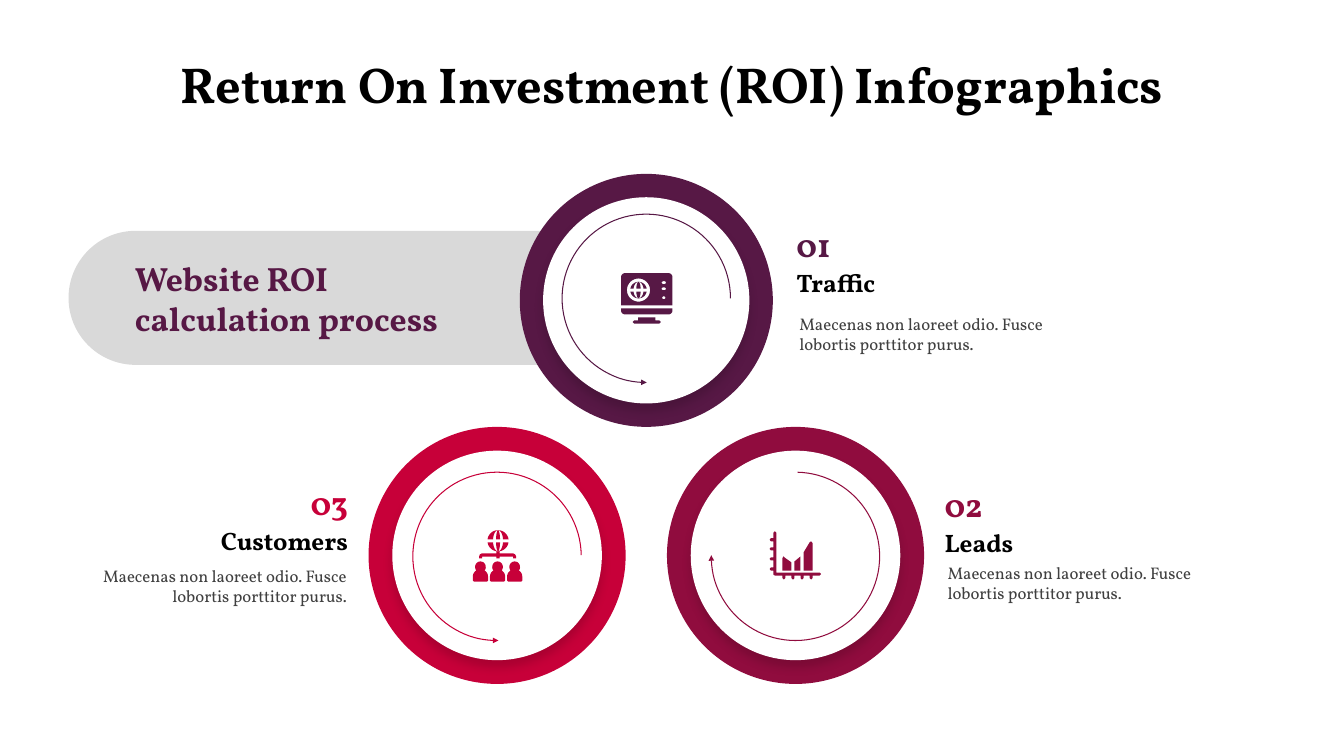
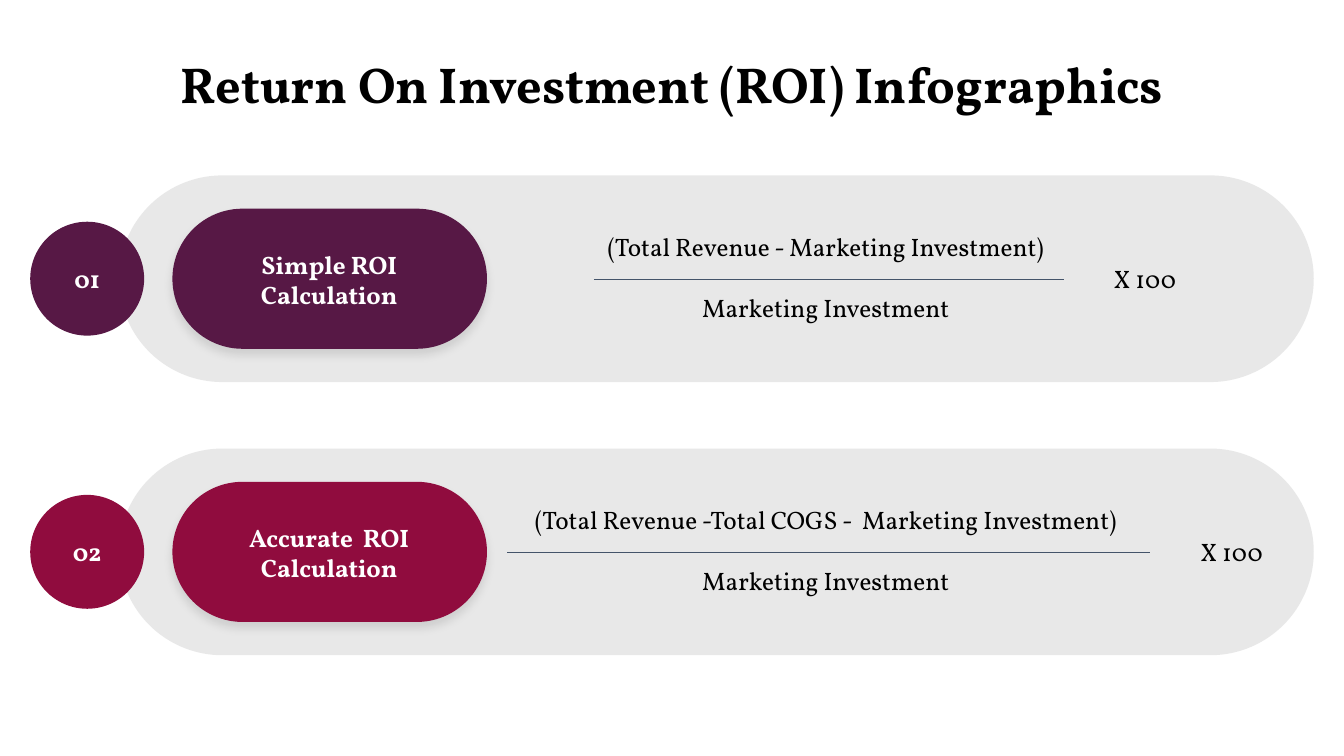
from math import asin, cos, degrees, radians, sin

from pptx import Presentation
from pptx.dml.color import RGBColor
from pptx.enum.shapes import MSO_CONNECTOR, MSO_SHAPE
from pptx.enum.text import MSO_ANCHOR, MSO_AUTO_SIZE, PP_ALIGN
from pptx.oxml import parse_xml
from pptx.oxml.ns import nsdecls, qn
from pptx.util import Inches, Pt

OVAL, ROUNDED, ARC = MSO_SHAPE.OVAL, MSO_SHAPE.ROUNDED_RECTANGLE, MSO_SHAPE.ARC
STRAIGHT = MSO_CONNECTOR.STRAIGHT
LEFT, CENTER, RIGHT = PP_ALIGN.LEFT, PP_ALIGN.CENTER, PP_ALIGN.RIGHT
TOP, MIDDLE = MSO_ANCHOR.TOP, MSO_ANCHOR.MIDDLE
GROW = MSO_AUTO_SIZE.SHAPE_TO_FIT_TEXT

FONT = "Vollkorn"
PLUM, WINE, RED = "571845", "900C3E", "C70039"
BLACK, WHITE, BAND, BODY, RULE = "000000", "FFFFFF", "D9D9D9", "404040", "44546A"
SLIDE_WIDTH, SLIDE_HEIGHT = 13.33, 7.5
TITLE = "Return On Investment (ROI) Infographics"
PLACEHOLDER_TEXT = "Maecenas non laoreet odio. Fusce lobortis porttitor purus."
ICON_UNIT = 0.01


def rgb(color):
    """Turn a hex string into a colour."""
    return RGBColor.from_string(color)


def write(shape, text, size, color, bold=False, align=LEFT, anchor=MIDDLE, margins=(0.1, 0.1)):
    """Fill a shape with one formatted, wrapped run."""
    frame = shape.text_frame
    frame.word_wrap = True
    frame.vertical_anchor = anchor
    frame.margin_left = frame.margin_right = Inches(margins[0])
    frame.margin_top = frame.margin_bottom = Inches(margins[1])
    paragraph = frame.paragraphs[0]
    paragraph.alignment = align
    run = paragraph.add_run()
    run.text = text
    font = run.font
    font.name, font.size, font.bold = FONT, Pt(size), bold
    font.color.rgb = rgb(color)
    return frame


def add_text(slide, box, text, size, color, **style):
    """Place a text box."""
    shape = slide.shapes.add_textbox(*map(Inches, box))
    return write(shape, text, size, color, **style)


def paint(shape, color):
    """Give a shape a flat fill without line or shadow."""
    shape.shadow.inherit = False
    shape.fill.solid()
    shape.fill.fore_color.rgb = rgb(color)
    shape.line.fill.background()
    return shape


def add_shape(slide, preset, box, color, adjustments=()):
    """Place a flat preset shape."""
    shape = paint(slide.shapes.add_shape(preset, *map(Inches, box)), color)
    for index, value in enumerate(adjustments):
        shape.adjustments[index] = value
    return shape


def add_shadow(shape, opacity, distance):
    """Cast a soft black shadow straight down."""
    shape._element.spPr.find(qn("a:effectLst")).append(parse_xml(
        f'<a:outerShdw {nsdecls("a")} blurRad="{Pt(6.8)}" dist="{Pt(distance)}" dir="5400000" '
        f'algn="t" rotWithShape="0"><a:srgbClr val="{BLACK}">'
        f'<a:alpha val="{opacity * 1000}"/></a:srgbClr></a:outerShdw>'))


def set_opacity(shape, percent):
    """Make a solid fill see-through."""
    color = shape._element.spPr.find(qn("a:solidFill")).find(qn("a:srgbClr"))
    color.append(parse_xml(f'<a:alpha {nsdecls("a")} val="{percent * 1000}"/>'))


def new_slide(presentation):
    """Add a slide with the shared title."""
    slide = presentation.slides.add_slide(presentation.slide_layouts[5])
    title = slide.shapes.title
    title.left, title.top = Inches(0), Inches(0.48)
    title.width, title.height = Inches(SLIDE_WIDTH), Inches(0.71)
    frame = write(title, TITLE, 36, BLACK, bold=True, align=CENTER, anchor=TOP, margins=(0.1, 0.05))
    frame.auto_size = GROW
    return slide


def curve(center, radii, start, end, steps=16):
    """List points along an elliptical arc, clockwise from the right."""
    angles = [radians(start + (end - start) * step / steps) for step in range(steps + 1)]
    return [(center[0] + radii[0] * cos(angle), center[1] + radii[1] * sin(angle)) for angle in angles]


def globe_segments(center, radius, inner, lens, gap, flip):
    """List the three segments of a globe's upper or lower half."""
    tilt = degrees(asin(gap / radius))
    x, y = center

    def half(width, start, end):
        return [(px, y + flip * (py - y)) for px, py in curve(center, (width, radius), start, end)]
    return [
        [half(lens, 180 + tilt, 360 - tilt)],
        [half(radius, 270, 360 - tilt) + half(inner, 360 - tilt, 270)],
        [half(radius, 180 + tilt, 270) + half(inner, 270, 180 + tilt)],
    ]


def monitor_icon():
    """List the outlines of a screen showing a globe."""
    center = (17.3, 16.8)
    screen = curve((4, 4), (4, 4), 180, 270) + curve((47, 4), (4, 4), 270, 360) + [(51, 32), (0, 32)]
    holes = [curve(center, (11.5, 11.5), 360, 0, 32)]
    holes += [curve((42.4, y), (width, 1.5), 360, 0) for y, width in ((9.4, 2.2), (15.5, 2.2), (24.4, 1.6))]
    base = [(0, 35), (51, 35)] + curve((47, 37), (4, 4), 0, 90) + curve((4, 37), (4, 4), 90, 180)
    foot = [(17, 44), (17, 47), (13, 47), (11.5, 48.5), (13, 50),
            (38, 50), (39.5, 48.5), (38, 47), (34, 47), (34, 44)]
    return [[foot], [base], [screen, *holes],
            *globe_segments(center, 8.2, 5, 2.2, 1.4, 1),
            *globe_segments(center, 8.2, 5, 2.2, 1.4, -1)]


def chart_icon():
    """List the outlines of a chart with ticked axes."""
    axes = [(5.5, 0), (4, 1.5)]
    for y in (7, 16, 26, 36):
        axes += [(4, y), (1.5, y), (0.3, y + 1.5), (1.5, y + 3), (4, y + 3)]
    axes += [(4, 43), (5.5, 44)]
    for x in (13, 22, 31, 40):
        axes += [(x, 44), (x, 46.5), (x + 1.5, 48), (x + 3, 46.5), (x + 3, 44)]
    axes += [(50, 44), (51.3, 42.5), (50, 41), (7, 41), (7, 1.5)]
    return [
        [[(31, 25), (25, 30), (25, 39), (31, 39)]],
        [[(14, 25), (13, 27), (13, 39), (22, 39), (22, 31), (15, 26)]],
        [[(41.5, 10), (40, 11), (34, 21), (34, 39), (43, 39), (43, 12)]],
        [axes],
    ]


def people_icon():
    """List the outlines of three people linked to a globe."""
    center, radius = (25, 10.5), 10.5
    top_segments = globe_segments(center, radius, 5, 2, 1.5, 1)
    bottom_lens = globe_segments(center, radius, 5, 2, 1.5, -1)[0]
    tree = (curve(center, (radius, radius), 172, 99)
            + [(23.4, 23), (9, 23), (7, 24), (6.3, 26), (6.3, 28), (9.3, 28), (9.3, 26.3), (23.4, 26.3),
               (23.4, 28), (26.6, 28), (26.6, 26.3), (40, 26.3), (40, 28), (43, 28), (43, 26),
               (42, 24), (40, 23), (26.6, 23)]
            + curve(center, (radius, radius), 81, 8)
            + curve(center, (5, radius), 8, 172))
    people = []
    for x in (0, 17, 34):
        person = (curve((x + 7.5, 36.5), (5.3, 5.5), 146, 394)
                  + curve((x + 8, 46), (7, 7), 300, 360)
                  + [(x + 15, 50), (x + 14, 51), (x + 1, 51), (x, 50)]
                  + curve((x + 7, 46), (7, 7), 180, 240))
        people.append([person])
    return people + [[tree], bottom_lens, *top_segments]


def add_icon(slide, left, top, outlines, color):
    """Draw outlines as one group from its top left corner."""
    shapes = slide.shapes.add_group_shape().shapes
    for contours in outlines:
        placed = [[(Inches(left + x * ICON_UNIT), Inches(top + y * ICON_UNIT)) for x, y in contour]
                  for contour in contours]
        builder = shapes.build_freeform(*placed[0][0])
        for index, points in enumerate(placed):
            if index:
                builder.move_to(*points[0])
            builder.add_line_segments(points[1:], close=True)
        paint(builder.convert_to_shape(), color)


def add_ring(slide, center, size, color, arc_center, angles, arrow_end):
    """Draw a ring around a white disc with an arrowed arc."""
    def square(middle, side):
        return middle[0] - side / 2, middle[1] - side / 2, side, side
    add_shape(slide, OVAL, square(center, size), color)
    disc = add_shape(slide, OVAL, square(center, size * 0.815), WHITE)
    add_shadow(disc, 15, 5.2)
    arc = slide.shapes.add_shape(ARC, *map(Inches, square(arc_center, 1.67)))
    arc.shadow.inherit = False
    arc.fill.background()
    arc.line.color.rgb = rgb(color)
    arc.line.width = Pt(0.75)
    for index, angle in enumerate(angles):
        arc.adjustments[index] = angle * 0.6
    line = arc._element.spPr.find(qn("a:ln"))
    line.append(parse_xml(f'<a:{arrow_end} {nsdecls("a")} type="triangle" w="sm" len="sm"/>'))


def add_step_text(slide, left, top, number, name, color, body_top, align):
    """Stack a step's number, name and description."""
    width, row = 2.87, 0.38
    add_text(slide, (left, top, width, row), number, 24, color, bold=True, align=align)
    add_text(slide, (left, top + row, width, row), name, 18, BLACK, bold=True, align=align)
    body_left = left + (0.03 if align == LEFT else -0.01)
    frame = add_text(slide, (body_left, top + body_top, width, 0.5), PLACEHOLDER_TEXT, 12, BODY,
                     align=align, anchor=TOP, margins=(0.1, 0.05))
    frame.auto_size = GROW


def build_process_slide(presentation):
    """Show the three steps of the calculation process."""
    slide = new_slide(presentation)
    add_shape(slide, ROUNDED, (0.68, 2.29, 5.73, 1.33), BAND, (0.5,))
    add_text(slide, (1.24, 2.46, 3.48, 0.99), "Website ROI calculation process", 24, PLUM, bold=True)
    rings = [
        ((6.41, 2.98), 2.51, PLUM, (6.41, 2.96), (89.7, 0), "headEnd"),
        ((4.93, 5.51), 2.55, RED, (4.93, 5.52), (89, 359.2), "headEnd"),
        ((7.89, 5.51), 2.55, WINE, (7.89, 5.52), (271.4, 180.8), "tailEnd"),
    ]
    for ring in rings:
        add_ring(slide, *ring)
    add_icon(slide, 6.16, 2.71, monitor_icon(), PLUM)
    add_icon(slide, 4.69, 5.26, people_icon(), RED)
    add_icon(slide, 7.63, 5.27, chart_icon(), WINE)
    add_step_text(slide, 7.8, 2.23, "01", "Traffic", PLUM, 0.83, LEFT)
    add_step_text(slide, 9.27, 4.81, "02", "Leads", WINE, 0.72, LEFT)
    add_step_text(slide, 0.68, 4.79, "03", "Customers", RED, 0.77, RIGHT)


def add_formula(slide, top, color, number, name, numerator, rule_width):
    """Draw one numbered band holding a named fraction."""
    band = add_shape(slide, ROUNDED, (1.18, top, 11.85, 2.05), BAND, (0.5,))
    set_opacity(band, 60)
    pill = add_shape(slide, ROUNDED, (1.71, top + 0.33, 3.12, 1.39), color, (0.5,))
    add_shadow(pill, 11, 4.5)
    add_text(slide, (1.98, top + 0.6, 2.57, 0.86), name, 18, WHITE, bold=True, align=CENTER)
    badge = add_shape(slide, OVAL, (0.3, top + 0.46, 1.13, 1.13), color)
    write(badge, number, 18, WHITE, bold=True, align=CENTER)

    middle, rule_top = 8.22, top + 1.03
    start, end = middle - rule_width / 2, middle + rule_width / 2
    rule = slide.shapes.add_connector(
        STRAIGHT, Inches(start), Inches(rule_top), Inches(end), Inches(rule_top))
    rule.line.color.rgb = rgb(RULE)
    rule.line.width = Pt(0.75)
    rule._element.spPr.append(parse_xml(f'<a:effectLst {nsdecls("a")}/>'))

    text_left, text_width = start - 0.33, rule_width + 0.6
    for left, offset, width, text in (
            (text_left, 0.46, text_width, numerator),
            (text_left, 1.07, text_width, "Marketing Investment"),
            (end + 0.24, 0.78, 1.13, "X 100")):
        add_text(slide, (left, top + offset, width, 0.48), text, 18, BLACK, align=CENTER)


def build_formula_slide(presentation):
    """Show the simple and the accurate formula."""
    slide = new_slide(presentation)
    add_formula(slide, 1.74, PLUM, "01", "Simple ROI Calculation",
                "(Total Revenue - Marketing Investment)", 4.66)
    add_formula(slide, 4.45, WINE, "02", "Accurate  ROI Calculation",
                "(Total Revenue -Total COGS -  Marketing Investment)", 6.38)


def main():
    """Build and save the presentation."""
    presentation = Presentation()
    presentation.slide_width = Inches(SLIDE_WIDTH)
    presentation.slide_height = Inches(SLIDE_HEIGHT)
    build_process_slide(presentation)
    build_formula_slide(presentation)
    presentation.save("out.pptx")


if __name__ == "__main__":
    main()
